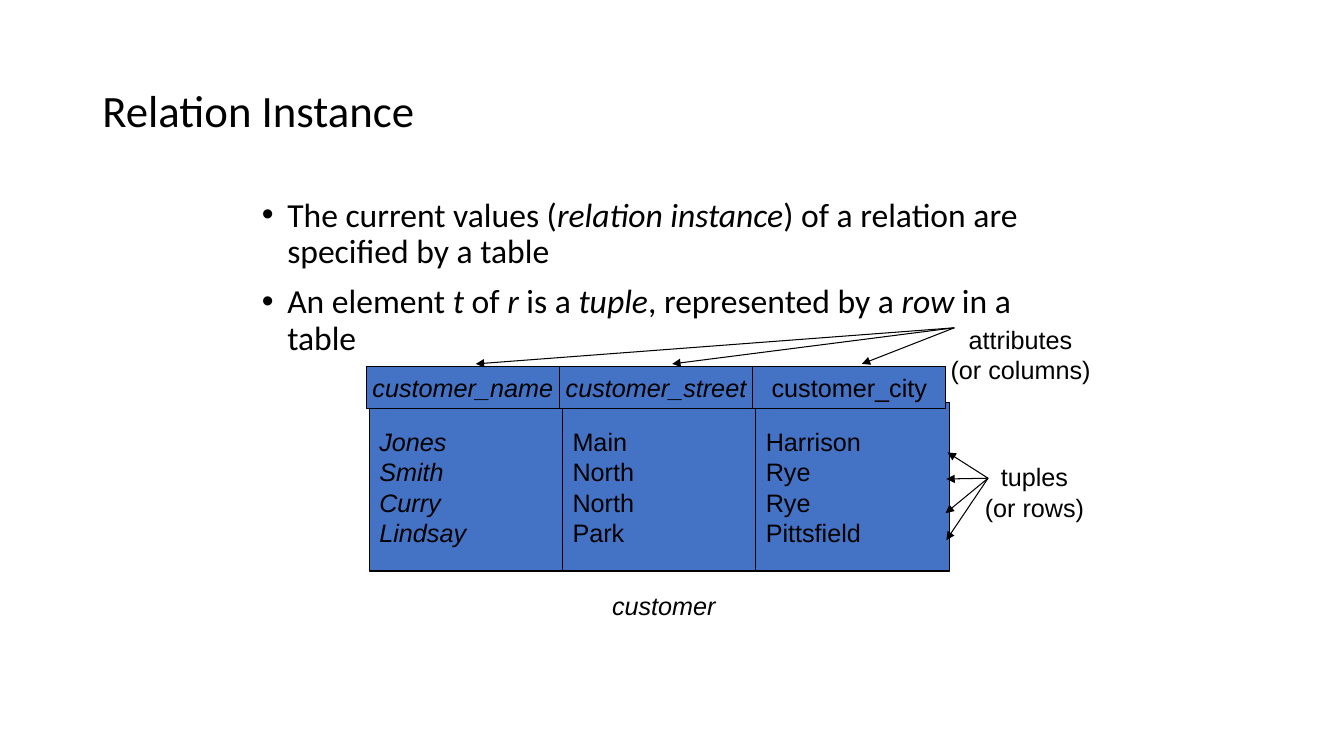
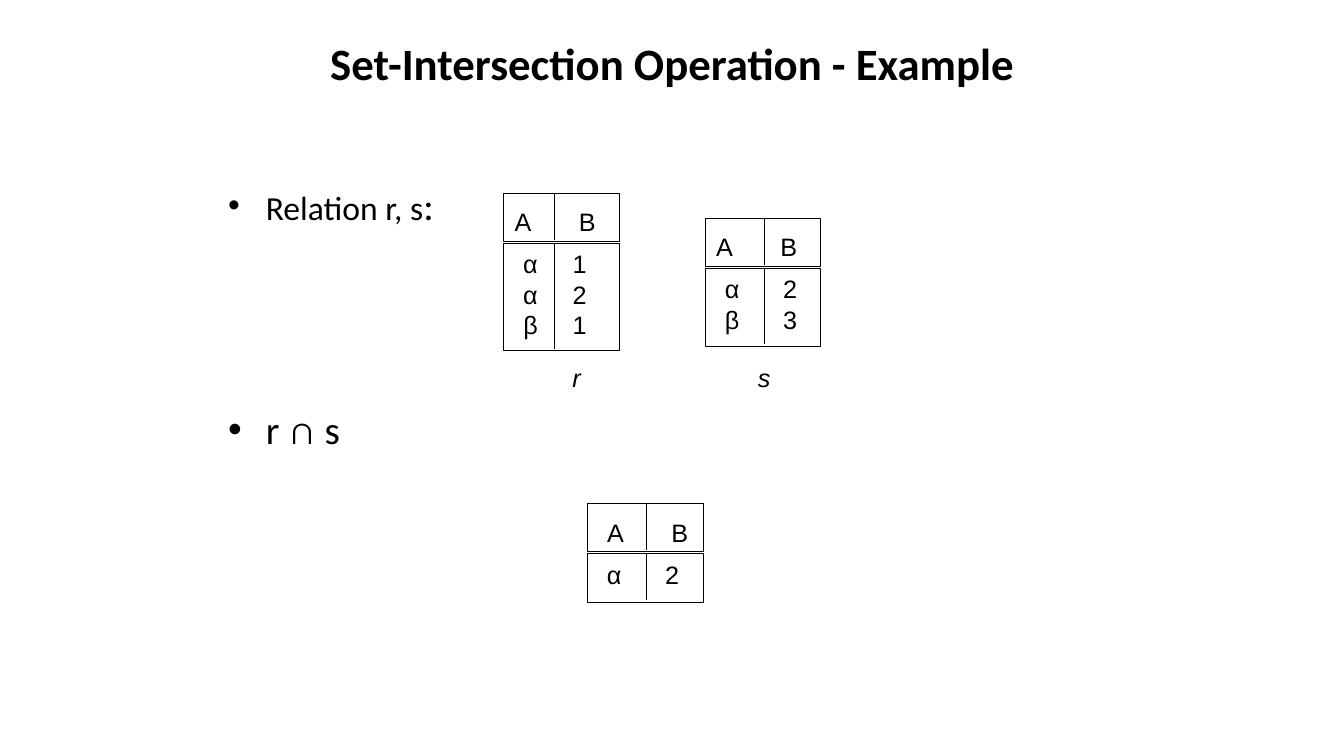
from lxml.etree import SubElement
from pptx import Presentation
from pptx.dml.color import RGBColor
from pptx.enum.shapes import MSO_CONNECTOR, MSO_SHAPE
from pptx.enum.text import MSO_ANCHOR, PP_ALIGN
from pptx.oxml.ns import qn
from pptx.util import Cm, Pt

BLACK = RGBColor(0x00, 0x00, 0x00)
WHITE = RGBColor(0xFF, 0xFF, 0xFF)
BLUE = RGBColor(0x44, 0x72, 0xC4)


class Deck:
    """Holds the shared style and the slide being built."""

    HEAD_FONT, BODY_FONT = "Calibri", "Arial"
    TITLE_SIZE, BULLET_SIZE, BODY_SIZE = 32, 24, 18
    LINE_WIDTH = Pt(0.75)

    def __init__(self):
        self.prs = Presentation()
        self.prs.slide_width, self.prs.slide_height = Cm(33.87), Cm(19.05)
        self.s = None

    def new_slide(self):
        self.s = self.prs.slides.add_slide(self.prs.slide_layouts[6])

    def run(self, p, text, size=BODY_SIZE, font=BODY_FONT, bold=False, italic=False):
        r = p.add_run()
        r.text = text
        r.font.name, r.font.size = font, Pt(size)
        r.font.bold, r.font.italic = bold, italic
        r.font.color.rgb = BLACK

    def frame(self, x, y, w, h, anchor=MSO_ANCHOR.TOP, wrap=True):
        tf = self.s.shapes.add_textbox(Cm(x), Cm(y), Cm(w), Cm(h)).text_frame
        tf.word_wrap, tf.vertical_anchor = wrap, anchor
        return tf

    def lines(self, tf, lines, align=PP_ALIGN.CENTER, italic=False):
        for i, line in enumerate(lines):
            p = tf.add_paragraph() if i else tf.paragraphs[0]
            p.alignment = align
            self.run(p, line, italic=italic)

    def title(self, text, x, y, w, h, align=PP_ALIGN.LEFT, bold=False, spacing=1.0):
        p = self.frame(x, y, w, h, MSO_ANCHOR.MIDDLE).paragraphs[0]
        p.alignment, p.line_spacing = align, spacing
        self.run(p, text, self.TITLE_SIZE, self.HEAD_FONT, bold)

    def bullets(self, items, x, y, w, h, indent, before, spacing=1.0):
        """Each item is a list of (text, run options)."""
        tf = self.frame(x, y, w, h)
        for i, item in enumerate(items):
            p = tf.add_paragraph() if i else tf.paragraphs[0]
            p.line_spacing = spacing
            p.space_before = Pt(before if i else 0)
            pPr = p._p.get_or_add_pPr()
            pPr.set("marL", str(Cm(indent)))
            pPr.set("indent", str(-Cm(indent)))
            SubElement(pPr, qn("a:buFont")).set("typeface", "Arial")
            SubElement(pPr, qn("a:buChar")).set("char", "•")
            for text, options in item:
                style = {"size": self.BULLET_SIZE, **options}
                self.run(p, text, font=self.HEAD_FONT, **style)

    def label(self, lines, cx, y, w=1.2, italic=False):
        """Text centred on cx."""
        h = 0.25 + 0.76 * len(lines)
        self.lines(self.frame(cx - w / 2, y, w, h), lines, italic=italic)

    def box(self, x, y, w, h, fill):
        sp = self.s.shapes.add_shape(MSO_SHAPE.RECTANGLE, Cm(x), Cm(y), Cm(w), Cm(h))
        sp.shadow.inherit = False
        sp.fill.solid()
        sp.fill.fore_color.rgb = fill
        sp.line.color.rgb, sp.line.width = BLACK, self.LINE_WIDTH
        return sp

    def cell(self, x, y, w, h, lines, align, italic):
        tf = self.box(x, y, w, h, BLUE).text_frame
        tf.word_wrap, tf.vertical_anchor = False, MSO_ANCHOR.MIDDLE
        self.lines(tf, lines, align, italic)

    def line(self, start, end, arrow=False):
        points = [Cm(v) for v in (*start, *end)]
        c = self.s.shapes.add_connector(MSO_CONNECTOR.STRAIGHT, *points)
        c.line.color.rgb, c.line.width = BLACK, self.LINE_WIDTH
        spPr = c._element.spPr
        if arrow:
            SubElement(spPr.get_or_add_ln(), qn("a:tailEnd")).set("type", "triangle")
        SubElement(spPr, qn("a:effectLst"))

    def arrows(self, start, tips):
        for tip in tips:
            self.line(start, tip, arrow=True)

    def relation(self, x, y, divider, columns, head_shift=0):
        """Two-column relation: header box A | B above a box of values."""
        w, head_h, body_y = 2.91, 1.21, y + 1.26
        body_h = 0.48 + 0.74 * len(columns[0])
        for top, h in ((y, head_h), (body_y, body_h)):
            self.box(x, top, w, h, WHITE)
            self.line((x + divider, top), (x + divider, top + h - 0.05))
        for name, dx in (("A", 0.48), ("B", 2.1)):
            self.label([name], x + dx + head_shift, y + 0.2)
        for values, dx in zip(columns, (0.67, divider + 0.64)):
            self.label(values, x + dx, body_y)


def relation_instance(d):
    d.new_slide()
    d.title("Relation Instance", 2.33, 1.02, 29.21, 3.68, spacing=0.9)
    it = {"italic": True}
    d.bullets([
        [("The current values (", {}), ("relation instance", it),
         (") of a relation are specified by a table", {})],
        [("An element ", {}), ("t", it), (" of ", {}), ("r", it), (" is a ", {}),
         ("tuple", it), (", represented by a ", {}), ("row ", it), ("in a table", {})],
    ], 6.35, 4.87, 20.57, 5.49, indent=0.64, before=10, spacing=0.9)

    # Customer table: name, values, italic header, italic values
    columns = [
        ("customer_name", ["Jones", "Smith", "Curry", "Lindsay"], True, True),
        ("customer_street", ["Main", "North", "North", "Park"], True, False),
        ("customer_city", ["Harrison", "Rye", "Rye", "Pittsfield"], False, False),
    ]
    col_w = 4.87
    for i, (name, values, head_it, body_it) in enumerate(columns):
        d.cell(9.31 + i * col_w, 10.15, col_w, 4.24, values, PP_ALIGN.LEFT, body_it)
        d.cell(9.23 + i * col_w, 9.23, col_w, 1.07, [name], PP_ALIGN.CENTER, head_it)
    d.label(["customer"], 16.73, 14.74, 3.5, italic=True)

    # Callouts
    d.label(["attributes", "(or columns)"], 25.72, 8.05, 4.4)
    d.arrows((24.05, 8.26), [(x, 9.17) for x in (11.99, 16.94, 21.72)])
    d.label(["tuples", "(or rows)"], 26.07, 11.51, 3.4)
    d.arrows((24.9, 12.05), [(23.88, 11.4), (23.85, 12.07), (23.83, 12.93), (23.85, 13.61)])


def set_intersection(d):
    d.new_slide()
    d.title("Set-Intersection Operation - Example", 6.15, 0, 21.59, 3.18,
            PP_ALIGN.CENTER, bold=True)
    large = {"size": 28}
    d.bullets([[("Relation r, s", {}), (":", large)], [("r ∩ s", large)]],
              5.5, 4.45, 22.86, 12.57, indent=0.95, before=126)

    # Relations r and s, then their intersection
    d.relation(12.7, 4.88, 1.27, [["α", "α", "β"], ["1", "2", "1"]])
    d.relation(17.78, 5.51, 1.49, [["α", "β"], ["2", "3"]])
    for name, cx in (("r", 14.53), ("s", 19.26)):
        d.label([name], cx, 9.01, italic=True)
    d.relation(14.81, 12.7, 1.49, [["α"], ["2"]], head_shift=0.22)


def main():
    d = Deck()
    relation_instance(d)
    set_intersection(d)
    d.prs.save("out.pptx")


if __name__ == "__main__":
    main()
